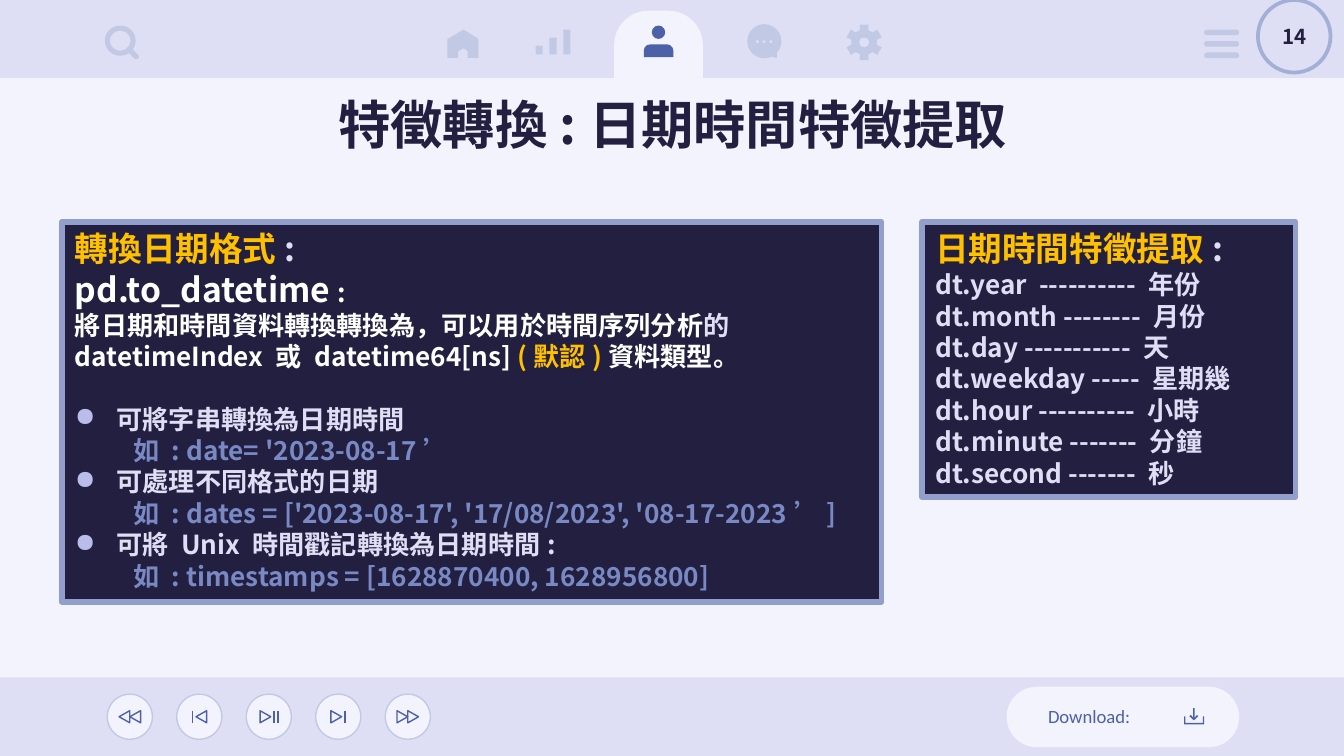
import math
from dataclasses import dataclass
from typing import NamedTuple

import lxml.etree
import pptx
import pptx.dml.color
import pptx.enum.shapes
import pptx.enum.text
import pptx.oxml.ns
import pptx.util

COLORS = {
    "page": "F2F3FD", "band": "DEDFF5", "icon": "C1C9E4", "accent": "4D61A9",
    "ink": "231F40", "frame": "929FCD", "ring": "A4AFD7", "gold": "FFC000",
    "white": "FFFFFF", "pale": "DEDFF5", "example": "7889C4", "bullet": "BABCEA",
}
FONT = "Noto Sans CJK SC"
COLUMNS, ROWS = 100, 56.25  # square grid cells

Kind = pptx.enum.shapes.MSO_SHAPE
Anchor = pptx.enum.text.MSO_ANCHOR
Align = pptx.enum.text.PP_ALIGN
AutoSize = pptx.enum.text.MSO_AUTO_SIZE

presentation = pptx.Presentation()
presentation.slide_width = pptx.util.Inches(10)
presentation.slide_height = int(presentation.slide_width * ROWS / COLUMNS)
slide = presentation.slides.add_slide(presentation.slide_layouts[6])
CELL = presentation.slide_width / COLUMNS


class Box(NamedTuple):
    column: float
    row: float
    columns: float
    rows: float


class Span(NamedTuple):
    text: str
    color: str
    size: float = 14
    font: str = FONT
    bold: bool = True


@dataclass
class Line:
    spans: list[Span]
    indent: float = 0
    bullet: bool = False
    space_before: float = 0


@dataclass
class Button:
    rotation: int
    triangles: list[float]
    bars: list[float]


def grid(cells: float) -> int:
    return round(cells * CELL)


def rgb(name: str) -> pptx.dml.color.RGBColor:
    return pptx.dml.color.RGBColor.from_string(COLORS[name])


def centred(column: float, row: float, columns: float, rows: float) -> Box:
    return Box(column - columns / 2, row - rows / 2, columns, rows)


def paint(shape, fill: str | None, line: str | None = None, width: float = 0.75):
    shape.shadow.inherit = False
    if fill:
        shape.fill.solid()
        shape.fill.fore_color.rgb = rgb(fill)
    else:
        shape.fill.background()
    if line:
        shape.line.color.rgb = rgb(line)
        shape.line.width = pptx.util.Pt(width)
    else:
        shape.line.fill.background()
    return shape


def draw(kind, box: Box, fill: str | None, line: str | None = None,
         width: float = 0.75, adjust: tuple = (), rotation: float = 0):
    shape = slide.shapes.add_shape(kind, *map(grid, box))
    for index, value in enumerate(adjust):
        shape.adjustments[index] = value
    shape.rotation = rotation
    return paint(shape, fill, line, width)


def draw_outline(points: list[tuple[float, float]], fill: str):
    corners = [(grid(x), grid(y)) for x, y in points]
    builder = slide.shapes.build_freeform(*corners[0], scale=1.0)
    builder.add_line_segments(corners[1:], close=True)
    return paint(builder.convert_to_shape(), fill)


def draw_bar(column: float, top: float, bottom: float):
    line = slide.shapes.add_connector(pptx.enum.shapes.MSO_CONNECTOR.STRAIGHT,
                                      grid(column), grid(top), grid(column), grid(bottom))
    line.line.color.rgb = rgb("accent")
    line.line.width = pptx.util.Pt(0.75)
    lxml.etree.SubElement(line._element.spPr, pptx.oxml.ns.qn("a:effectLst"))


def add_bullet(paragraph):
    properties = paragraph._p.get_or_add_pPr()
    qn = pptx.oxml.ns.qn
    color = lxml.etree.SubElement(properties, qn("a:buClr"))
    lxml.etree.SubElement(color, qn("a:srgbClr"), val=COLORS["bullet"])
    lxml.etree.SubElement(properties, qn("a:buChar"), char="●")


def write(shape, lines: list[Line], align=Align.LEFT, anchor=Anchor.TOP,
          inset: float | None = None, wrap: bool = True, grow: bool = False):
    frame = shape.text_frame
    frame.word_wrap = wrap
    frame.vertical_anchor = anchor
    frame.auto_size = AutoSize.SHAPE_TO_FIT_TEXT if grow else AutoSize.NONE
    if inset is not None:
        frame.margin_left = frame.margin_right = grid(inset)
        frame.margin_top = frame.margin_bottom = grid(inset)
    for index, line in enumerate(lines):
        paragraph = frame.add_paragraph() if index else frame.paragraphs[0]
        paragraph.alignment = align
        if line.space_before:
            paragraph.space_before = pptx.util.Pt(line.space_before)
        if line.indent:
            properties = paragraph._p.get_or_add_pPr()
            properties.set("marL", str(grid(line.indent)))
            properties.set("indent", str(-grid(line.indent) if line.bullet else 0))
        if line.bullet:
            add_bullet(paragraph)
        for span in line.spans:
            run = paragraph.add_run()
            run.text = span.text
            run.font.name = span.font
            run.font.size = pptx.util.Pt(span.size)
            run.font.bold = span.bold
            run.font.color.rgb = rgb(span.color)
            lxml.etree.SubElement(run._r.rPr, pptx.oxml.ns.qn("a:ea"), typeface=span.font)


def draw_panel(box: Box, lines: list[Line]):
    write(draw(Kind.RECTANGLE, box, "ink", "frame", 3), lines, grow=True)


def draw_top_bar():
    draw(Kind.RECTANGLE, Box(0, 0, COLUMNS, 5.8), "band")
    draw(Kind.ROUND_2_SAME_RECTANGLE, Box(45.7, 0.8, 6.6, 5.1), "page", adjust=(0.5, 0))
    # Person
    draw(Kind.OVAL, Box(48.5, 1.9, 1, 1), "accent")
    draw(Kind.ROUND_2_SAME_RECTANGLE, Box(47.9, 3.3, 2.2, 0.95), "accent", adjust=(0.5, 0))
    # House
    draw_outline([(34.5, 2.2), (33.3, 2.9), (33.3, 4.3), (34.1, 4.3), (34.1, 3.8), (34.5, 3.6),
                  (34.8, 3.8), (34.8, 4.3), (35.6, 4.3), (35.6, 2.9)], "icon")
    # Rising bars
    for index, height in enumerate((0.65, 1.25, 1.85)):
        draw(Kind.RECTANGLE, Box(39.85 + 1.03 * index, 4.05 - height, 0.53, height), "icon")
    # Speech bubble
    draw(Kind.OVAL, Box(55.6, 1.8, 2.54, 2.54), "icon")
    draw_outline([(57.3, 4.2), (57.8, 4.3), (57.8, 3.8)], "icon")
    for index in range(3):
        draw(Kind.OVAL, centred(56.35 + 0.5 * index, 3.1, 0.2, 0.2), "band")
    # Gear: each tooth has two outer and two inner corners
    corners = ((-19, 0.96), (-14, 1.36), (14, 1.36), (19, 0.96))
    draw_outline([(64.3 + radius * math.sin(math.radians(tooth + angle)),
                   3.15 - radius * math.cos(math.radians(tooth + angle)))
                  for tooth in range(0, 360, 60) for angle, radius in corners], "icon")
    draw(Kind.OVAL, centred(64.3, 3.15, 0.72, 0.72), "band")
    # Menu
    for index in range(3):
        draw(Kind.ROUNDED_RECTANGLE, Box(89.6, 2.2 + 0.85 * index, 2.6, 0.42), "icon", adjust=(0.5,))
    # Magnifier
    draw(Kind.DONUT, Box(7.8, 1.9, 2.3, 2.25), "icon", adjust=(0.17,))
    draw(Kind.ROUNDED_RECTANGLE, centred(9.87, 3.95, 1.15, 0.4), "icon", adjust=(0.5,), rotation=45)


def draw_player(buttons: list[Button]):
    middle = 53.33
    for index, button in enumerate(buttons):
        center = 9.66 + 5.17 * index
        draw(Kind.OVAL, centred(center, middle, 3.36, 3.36), "page", "icon")
        for offset in button.triangles:
            draw(Kind.ISOSCELES_TRIANGLE, centred(center + offset, middle, 0.9, 0.8),
                 None, "accent", rotation=button.rotation)
        for offset in button.bars:
            draw_bar(center + offset, middle - 0.45, middle + 0.45)


def draw_download():
    draw(Kind.ROUNDED_RECTANGLE, Box(74.9, 51.1, 17.3, 4.5), "page", adjust=(0.5,))
    draw(Kind.RECTANGLE, Box(88.78, 52.7, 0.11, 0.85), "accent")
    draw_outline([(88.1, 53.3), (88.1, 53.9), (89.6, 53.9), (89.6, 53.3),
                  (89.5, 53.3), (89.5, 53.8), (88.2, 53.8), (88.2, 53.3)], "accent")
    draw_outline([(88.6, 53.2), (88.5, 53.3), (88.83, 53.6), (89.15, 53.3),
                  (89.07, 53.2), (88.83, 53.45)], "accent")
    label = slide.shapes.add_textbox(*map(grid, Box(77, 52.1, 9.6, 2.4)))
    write(label, [Line([Span("Download:", "accent", 10, "Calibri", False)])],
          anchor=Anchor.MIDDLE, inset=1)


def step(text: str, space_before: float = 0) -> Line:
    return Line([Span(text, "pale")], indent=3.1, bullet=True, space_before=space_before)


def example(text: str) -> Line:
    return Line([Span(text, "example")], indent=4.35)


def heading(text: str) -> Line:
    return Line([Span(text, "gold", 18), Span(":", "pale", 18)])


slide.background.fill.solid()
slide.background.fill.fore_color.rgb = rgb("page")
draw(Kind.RECTANGLE, Box(0, 50.4, COLUMNS, ROWS - 50.4), "band")
draw_top_bar()
draw_player([
    Button(270, [-0.4, 0.4], []),
    Button(270, [0.15], [-0.5]),
    Button(90, [-0.25], [0.4, 0.7]),
    Button(90, [-0.15], [0.5]),
    Button(90, [-0.4, 0.4], []),
])
draw_download()

title = slide.shapes.add_textbox(*map(grid, Box(7.9, 5.9, 84.3, 6.3)))
write(title, [Line([Span("特徵轉換:日期時間特徵提取", "ink", 28)])], align=Align.CENTER, inset=1)

draw_panel(Box(4.6, 16.5, 61, 28.3), [
    heading("轉換日期格式"),
    Line([Span("pd.to_datetime ", "white", 18), Span(":", "white")]),
    Line([Span("將日期和時間資料轉換轉換為，可以用於時間序列分析", "white"), Span("的", "pale"),
          Span("datetimeIndex 或 datetime64[ns] ", "white"), Span("(默認)", "gold"),
          Span("資料類型。", "white")]),
    step("可將字串轉換為日期時間", space_before=16.8),
    example("如 : date= '2023-08-17’"),
    step("可處理不同格式的日期"),
    example("如 : dates = ['2023-08-17', '17/08/2023', '08-17-2023’]"),
    step("可將 Unix 時間戳記轉換為日期時間:"),
    example("如 : timestamps = [1628870400, 1628956800]"),
])
draw_panel(Box(68.6, 16.5, 27.8, 20.5), [heading("日期時間特徵提取")] + [
    Line([Span(text, "pale")]) for text in (
        "dt.year  ---------- 年份", "dt.month -------- 月份", "dt.day ----------- 天",
        "dt.weekday ----- 星期幾", "dt.hour ---------- 小時", "dt.minute ------- 分鐘",
        "dt.second ------- 秒")
])

page_number = draw(Kind.OVAL, Box(93.6, 0, 5.4, 5.4), "band", "ring", 2)
write(page_number, [Line([Span("14", "ink", 11)])], align=Align.CENTER,
      anchor=Anchor.MIDDLE, wrap=False)

presentation.save("out.pptx")
